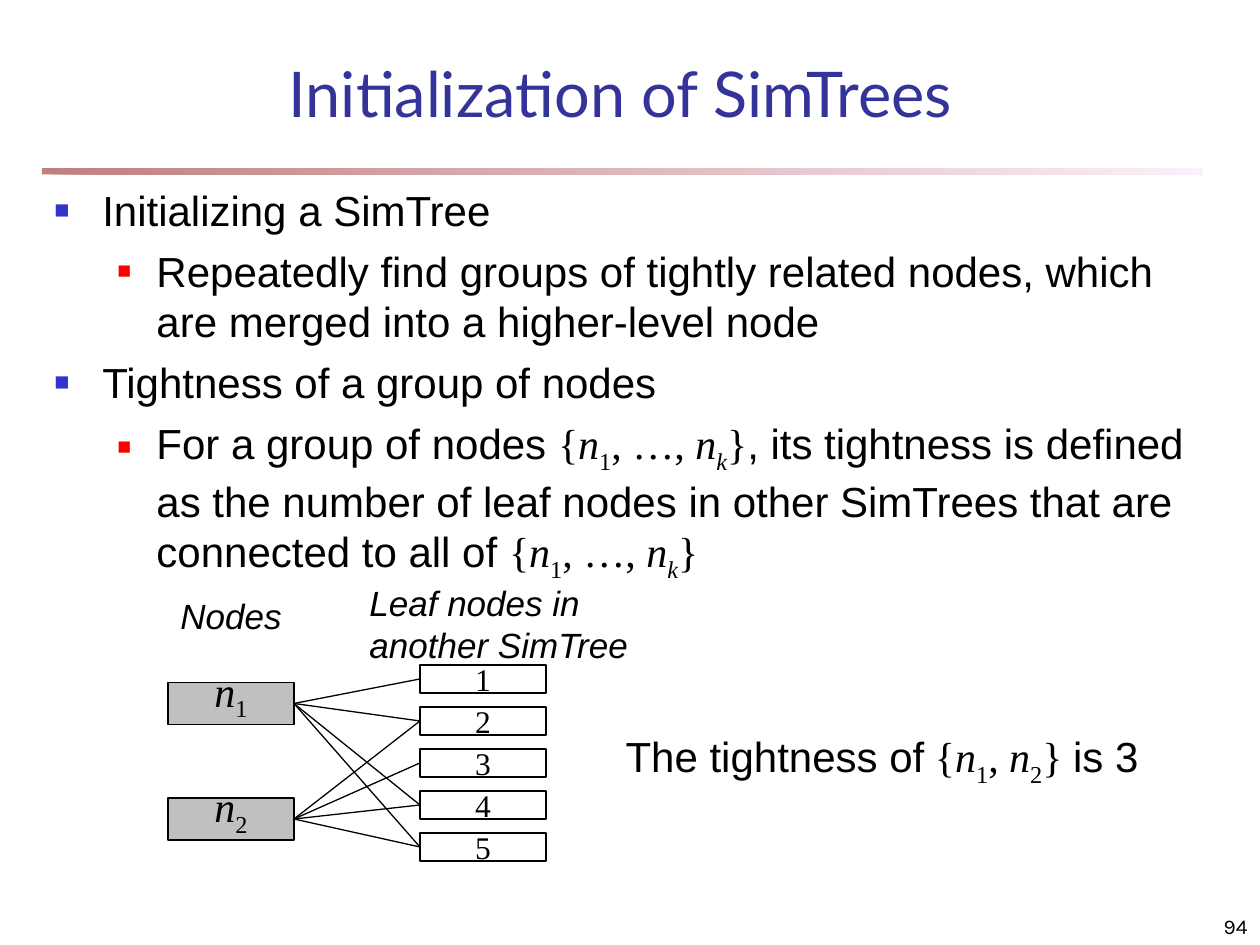
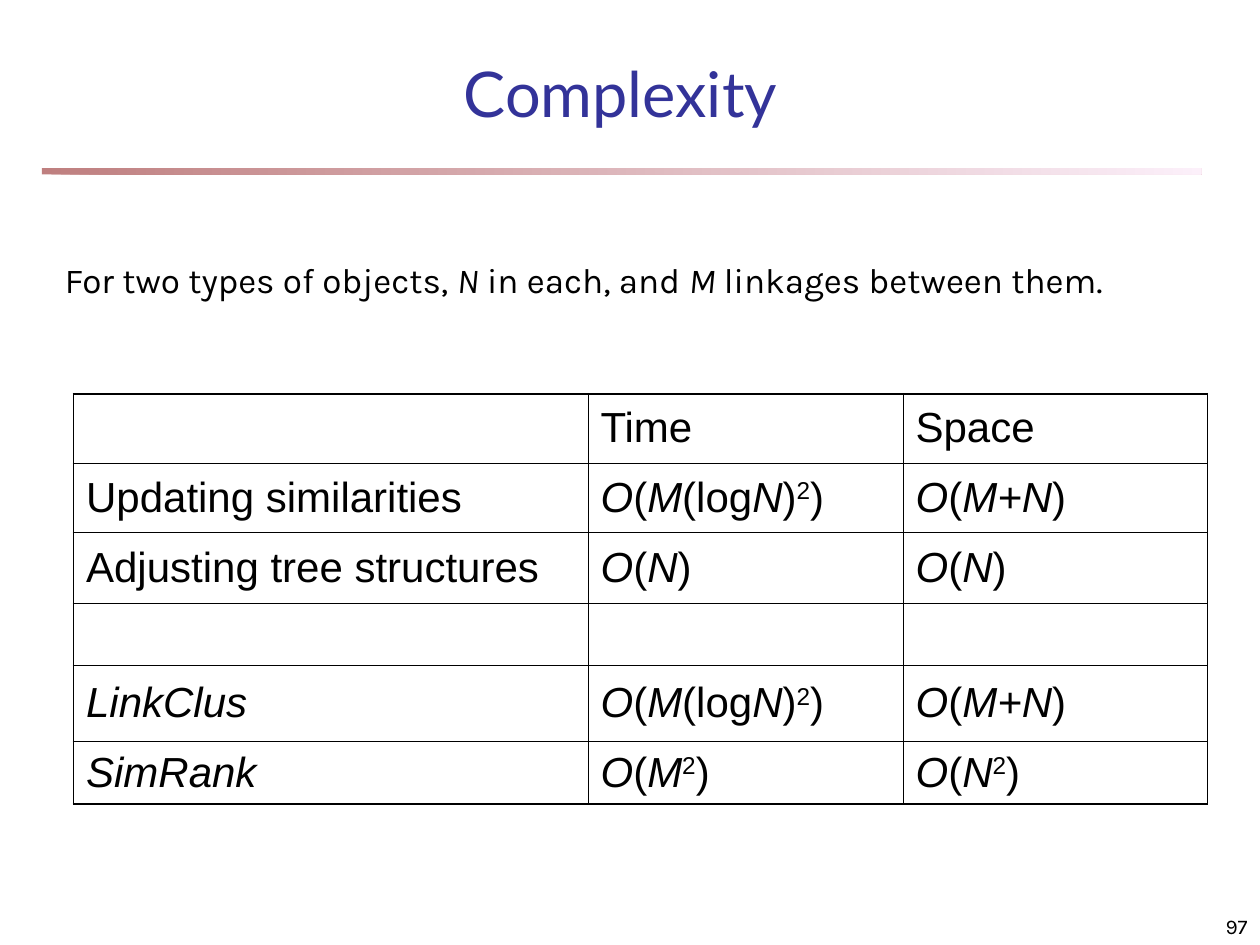
from lxml import etree
from pptx import Presentation
from pptx.dml.color import RGBColor
from pptx.enum.shapes import MSO_CONNECTOR, MSO_SHAPE
from pptx.enum.text import MSO_ANCHOR, PP_ALIGN
from pptx.oxml.ns import qn
from pptx.util import Inches, Pt

LEFT, CENTER, RIGHT = PP_ALIGN.LEFT, PP_ALIGN.CENTER, PP_ALIGN.RIGHT
TOP, MIDDLE, BOTTOM = MSO_ANCHOR.TOP, MSO_ANCHOR.MIDDLE, MSO_ANCHOR.BOTTOM
RECTANGLE, STRAIGHT = MSO_SHAPE.RECTANGLE, MSO_CONNECTOR.STRAIGHT

# The slide is a grid of 120 columns and 90 rows, twelve to the inch
COLUMNS, ROWS, PER_INCH = 120, 90, 12
BLANK = 6

BLACK, WHITE, GRAY = "000000", "FFFFFF", "C0C0C0"
TITLE_BLUE, BAND_START, BAND_END = "333399", "800000", "FAE2F6"
TITLE_FONT, BODY_FONT, MATH_FONT, NOTE_FONT = "Lato", "Arial", "Times New Roman", "Karla"

# Bullet levels: left margin and hanging indent (inches), colour, size in percent
BULLETS = [(0.38, 0.38, "3333CC", 60), (0.81, 0.31, "FF0000", 55)]
INSETS = (0.1, 0.05, 0.1, 0.05)

# Span styles: i italic, m math font, - subscript, + superscript
GROUP = [("{", "m"), ("n", "mi"), ("1", "m-"), (", …, ", "m"),
         ("n", "mi"), ("k", "mi-"), ("}", "m")]
PAIR = [(" {", "m"), ("n", "mi"), ("1", "m-"), (", ", "m"),
        ("n", "mi"), ("2", "m-"), ("} ", "m")]
OUTLINE = [
    (0, ["Initializing a SimTree"]),
    (1, ["Repeatedly find groups of tightly related nodes, which are merged "
         "into a higher-level node"]),
    (0, ["Tightness of a group of nodes"]),
    (1, ["For a group of nodes ", *GROUP,
         ", its tightness is defined as the number of leaf nodes in other "
         "SimTrees that are connected to all of ", *GROUP]),
]

# Diagram: row of each node and the leaves it is linked to
NODES = {"1": (65, (1, 2, 4, 5)), "2": (76, (2, 3, 4, 5))}
NODE_LEFT, LEAF_LEFT, BOX_WIDTH, NODE_HEIGHT = 16, 40, 12, 4
LEAF_COUNT, LEAF_TOP, LEAF_HEIGHT, LEAF_PITCH = 5, 63.33, 2.67, 4

# Complexity table
LINEAR = [("O", "i"), "(", ("N", "i"), ")"]
SUM = [("O", "i"), "(", ("M+N", "i"), ")"]
LOG_SQUARED = [("O", "i"), "(", ("M", "i"), "(log", ("N", "i"), ")", ("2", "+"), ")"]


def squared(name):
    return [("O", "i"), "(", (name, "i"), ("2", "+"), ")"]


COSTS = [
    ([], ["Time"], ["Space"]),
    (["Updating similarities"], LOG_SQUARED, SUM),
    (["Adjusting tree structures"], LINEAR, LINEAR),
    ([], [], []),
    ([("LinkClus", "i")], LOG_SQUARED, SUM),
    ([("SimRank", "i")], squared("M"), squared("N")),
]
COST_COLUMNS = (49, 30, 29)
COST_ROWS = (6.6, 6.6, 6.8, 5.9, 7.2, 6)
THICK, THIN = 1.08, 0.45


def color(value):
    return RGBColor.from_string(value)


def grid(*lengths):
    return [Inches(length / PER_INCH) for length in lengths]


def write(para, spans, size, font=BODY_FONT, ink=BLACK, align=LEFT):
    para.alignment = align
    for item in spans:
        words, style = (item, "") if isinstance(item, str) else item
        span = para.add_run()
        span.text = words
        span.font.size = Pt(size)
        span.font.name = MATH_FONT if "m" in style else font
        span.font.color.rgb = color(ink)
        span.font.italic = "i" in style
        if "-" in style or "+" in style:
            shift = "-25000" if "-" in style else "30000"
            span.font._element.set("baseline", shift)


def set_frame(frame, anchor, insets=INSETS, wrap=True):
    frame.word_wrap = wrap
    frame.vertical_anchor = anchor
    (frame.margin_left, frame.margin_top,
     frame.margin_right, frame.margin_bottom) = map(Inches, insets)


def add_text(page, area, spans, size, anchor=TOP, **look):
    frame = page.shapes.add_textbox(*grid(*area)).text_frame
    set_frame(frame, anchor)
    write(frame.paragraphs[0], spans, size, **look)


def add_rectangle(page, area):
    box = page.shapes.add_shape(RECTANGLE, *grid(*area))
    box.shadow.inherit = False
    return box


def add_label_box(page, area, fill, spans, size, insets=INSETS):
    box = add_rectangle(page, area)
    box.fill.solid()
    box.fill.fore_color.rgb = color(fill)
    box.line.color.rgb = color(BLACK)
    box.line.width = Pt(0.75)
    set_frame(box.text_frame, MIDDLE, insets, wrap=False)
    write(box.text_frame.paragraphs[0], spans, size, MATH_FONT, align=CENTER)


def add_link(page, start, end):
    link = page.shapes.add_connector(STRAIGHT, *grid(*start, *end))
    link.line.color.rgb = color(BLACK)
    link.line.width = Pt(0.75)
    etree.SubElement(link.element.spPr, qn("a:effectLst"))


def add_band(page):
    band = add_rectangle(page, (4, 16, 110.4, 0.6))
    band.fill.gradient()
    band.fill.gradient_angle = 0
    for stop, value in zip(band.fill.gradient_stops, (BAND_START, BAND_END)):
        stop.color.rgb = color(value)
    for tint in band.element.spPr.iter(qn("a:srgbClr")):
        etree.SubElement(tint, qn("a:alpha"), val="50000")
    band.line.fill.background()


def add_page(deck, title, number):
    page = deck.slides.add_slide(deck.slide_layouts[BLANK])
    add_band(page)
    add_text(page, (8, 5, 102.2, 8), [title], 36, BOTTOM,
             font=TITLE_FONT, ink=TITLE_BLUE, align=CENTER)
    add_text(page, (95, 85, 25, 5), [number], 12, BOTTOM, font=NOTE_FONT, align=RIGHT)
    return page


def set_bullet(para, level):
    margin, hanging, ink, percent = BULLETS[level]
    props = para._p.get_or_add_pPr()
    props.set("marL", str(Inches(margin)))
    props.set("indent", str(-Inches(hanging)))
    tint = etree.SubElement(props, qn("a:buClr"))
    etree.SubElement(tint, qn("a:srgbClr"), val=ink)
    etree.SubElement(props, qn("a:buSzPct"), val=str(percent * 1000))
    etree.SubElement(props, qn("a:buFont"), typeface=BODY_FONT)
    etree.SubElement(props, qn("a:buChar"), char="■")


def add_outline(page, area, outline):
    frame = page.shapes.add_textbox(*grid(*area)).text_frame
    set_frame(frame, TOP)
    for index, (level, spans) in enumerate(outline):
        para = frame.add_paragraph() if index else frame.paragraphs[0]
        para.level = level
        set_bullet(para, level)
        if index:
            para.space_before = Pt(6)
        write(para, spans, 24)


def add_tree_diagram(page):
    leaf_tops = [LEAF_TOP + LEAF_PITCH * index for index in range(LEAF_COUNT)]
    for number, top in enumerate(leaf_tops, 1):
        add_label_box(page, (LEAF_LEFT, top, BOX_WIDTH, LEAF_HEIGHT), WHITE,
                      [str(number)], 18)
    for number, (top, leaves) in NODES.items():
        add_label_box(page, (NODE_LEFT, top, BOX_WIDTH, NODE_HEIGHT), GRAY,
                      [("n", "i"), (number, "-")], 24, (0.1, 0, 0.1, 0.15))
        start = (NODE_LEFT + BOX_WIDTH, top + NODE_HEIGHT / 2)
        for leaf in leaves:
            add_link(page, start, (LEAF_LEFT, leaf_tops[leaf - 1] + LEAF_HEIGHT / 2))


def set_borders(cell, outer_sides):
    props = cell._tc.get_or_add_tcPr()
    for side in "LRTB":
        width = THICK if side in outer_sides else THIN
        line = etree.SubElement(props, qn("a:ln" + side), w=str(Pt(width)))
        fill = etree.SubElement(line, qn("a:solidFill"))
        etree.SubElement(fill, qn("a:srgbClr"), val=BLACK)


def add_cost_table(page, left, top):
    last_row, last_column = len(COST_ROWS) - 1, len(COST_COLUMNS) - 1
    area = (left, top, sum(COST_COLUMNS), sum(COST_ROWS))
    table = page.shapes.add_table(last_row + 1, last_column + 1, *grid(*area)).table
    table.first_row = table.horz_banding = False
    for column, width in zip(table.columns, grid(*COST_COLUMNS)):
        column.width = width
    for row, height in zip(table.rows, grid(*COST_ROWS)):
        row.height = height
    for r, costs in enumerate(COSTS):
        for c, spans in enumerate(costs):
            cell = table.cell(r, c)
            outer = {"L": c == 0, "R": c == last_column, "T": r == 0, "B": r == last_row}
            set_borders(cell, [side for side, is_outer in outer.items() if is_outer])
            cell.fill.background()
            cell.vertical_anchor = MIDDLE
            write(cell.text_frame.paragraphs[0], spans, 24)


def main():
    deck = Presentation()
    deck.slide_width, deck.slide_height = grid(COLUMNS, ROWS)

    # Initialization: outline above, linked nodes below
    page = add_page(deck, "Initialization of SimTrees", "94")
    add_outline(page, (4, 17, 110, 41), OUTLINE)
    add_tree_diagram(page)
    add_text(page, (58, 69, 52, 6.7), ["The tightness of", *PAIR, "is 3"], 24, align=CENTER)
    add_text(page, (16, 56, 14, 5.3), [("Nodes", "i")], 20)
    add_text(page, (34, 54.8, 27, 13.2), [("Leaf nodes in another SimTree", "i")], 20)

    # Complexity: setting and cost table
    page = add_page(deck, "Complexity", "97")
    add_cost_table(page, 7, 37.5)
    add_text(page, (5, 24, 110, 5.3),
             ["For two types of objects, ", ("N", "i"), " in each, and ", ("M", "i"),
              " linkages between them."], 20, font=NOTE_FONT)

    deck.save("out.pptx")


if __name__ == "__main__":
    main()
